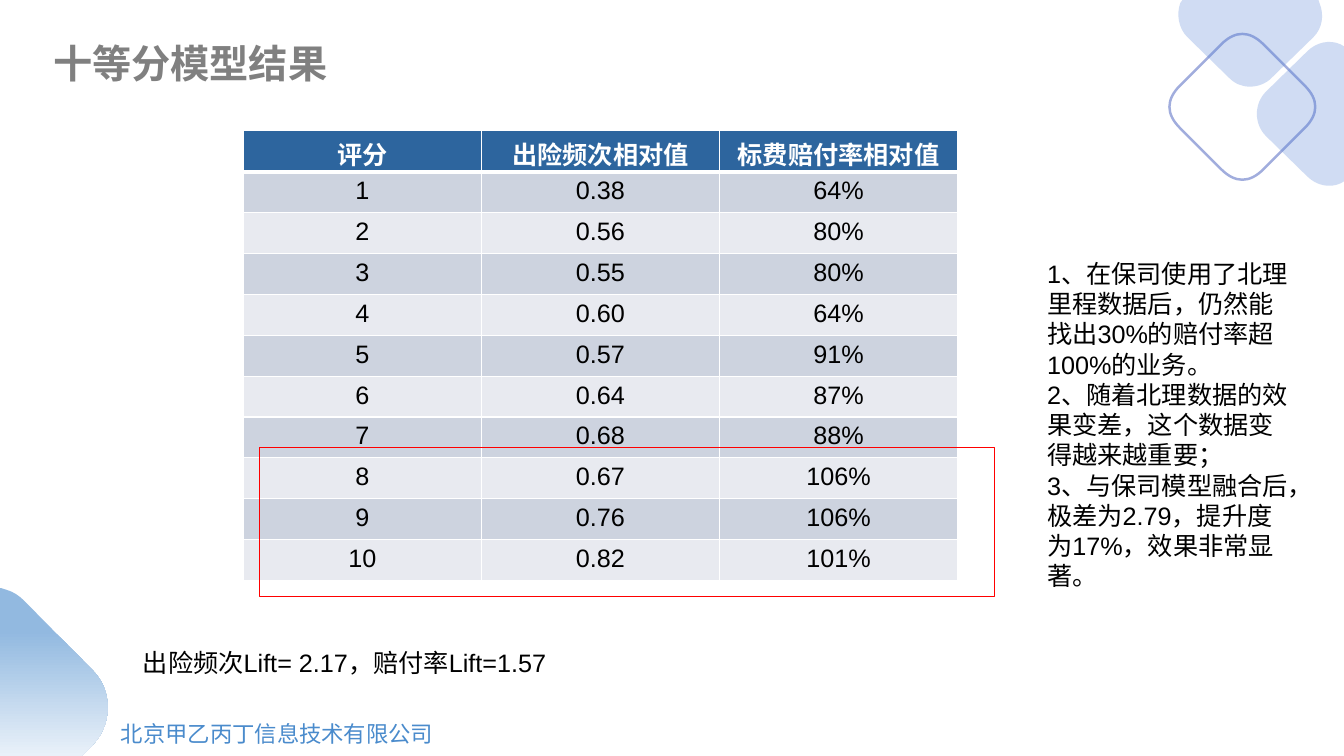
"""Build the decile model results slide."""
from lxml import etree
from pptx import Presentation
from pptx.dml.color import RGBColor
from pptx.enum.shapes import MSO_SHAPE
from pptx.enum.text import MSO_ANCHOR, PP_ALIGN
from pptx.oxml.ns import qn
from pptx.util import Pt

RECT = MSO_SHAPE.RECTANGLE
LEFT, CENTER, RIGHT = PP_ALIGN.LEFT, PP_ALIGN.CENTER, PP_ALIGN.RIGHT
TOP, MIDDLE = MSO_ANCHOR.TOP, MSO_ANCHOR.MIDDLE

BODY = ("Arial", 18, "000000", False)
HEAD = ("Arial", 18, "FFFFFF", True)
TITLE = ("Times New Roman", 28, "808080", True)
FOOTER = ("Arial", 16, "4A8BCC", False)

HEADERS = ["评分", "出险频次相对值", "标费赔付率相对值"]
FREQUENCIES = ["0.38", "0.56", "0.55", "0.60", "0.57", "0.64", "0.68", "0.67", "0.76", "0.82"]
LOSS_RATIOS = ["64%", "80%", "80%", "64%", "91%", "87%", "88%", "106%", "106%", "101%"]
NOTES = [
    "1、在保司使用了北理里程数据后，仍然能找出30%的赔付率超100%的业务。",
    "2、随着北理数据的效果变差，这个数据变得越来越重要；",
    "3、与保司模型融合后，极差为2.79，提升度为17%，效果非常显著。",
]
TEXTS = [
    ((21.6, 513.4, 295.2, 21.6), ["北京甲乙丙丁信息技术有限公司"], FOOTER, RIGHT, MIDDLE),
    ((31, 24.5, 412.6, 41), ["十等分模型结果"], TITLE, LEFT, TOP),
    ((95, 458.6, 728, 28.8), ["出险频次Lift= 2.17，赔付率Lift=1.57"], BODY, LEFT, TOP),
    ((740.9, 181, 191.5, 269.3), NOTES, BODY, LEFT, TOP),
]
TABLE_BOX = (173.8, 93.2, 510.3, 321.1)
HIGHLIGHT_BOX = (185.5, 319.6, 525, 106.6)

RING_CENTER, RING_REACH = (887.4, 76.3), 52.2
RING_CORNER = [(44.6, -15.1), (54.6, -5.1, 54.6, 5.1, 44.6, 15.1)]
RIGHT_BOX = (897.8, 29.5, 62.2, 103.8)
RIGHT_PATH = [
    (897.8, 81.4), (897.8, 87.1, 900, 92.9, 904.3, 97.2), (933.8, 126),
    (940.3, 132.5, 949.7, 134.6, 957.6, 131), (960, 129.6), (960, 33.1), (957.6, 31.7),
    (949.7, 28.1, 940.3, 30.2, 933.8, 36.7), (904.3, 65.5), (900, 69.8, 897.8, 75.6, 897.8, 81.4),
]
TOP_BOX = (841.7, 0, 102.2, 61.9)
TOP_PATH = [
    (892.8, 61.9), (898.6, 61.9, 904.3, 59.8, 908.6, 55.4), (938.2, 26.6),
    (944.6, 20.2, 946.1, 10.8, 942.5, 2.2), (941.8, 0), (844.6, 0), (843.1, 2.2),
    (840.2, 10.1, 841.7, 20.2, 848.2, 26.6), (877.7, 55.4), (882, 59.8, 887, 61.9, 892.8, 61.9),
]
CORNER_BOX = (0, 419.8, 77, 120.2)
CORNER_PATH = [
    (58.3, 540), (0, 540), (0, 419.8), (4.3, 421.2), (9.4, 422.6, 13.7, 425.5, 17.3, 429.1),
    (66.2, 478.8), (80.6, 493.2, 80.6, 517, 66.2, 532.1),
]


def rgb(value):
    return RGBColor.from_string(value)


def write(tf, lines, style, align):
    name, size, color, bold = style
    for i, line in enumerate(lines):
        p = tf.add_paragraph() if i else tf.paragraphs[0]
        p.alignment = align
        r = p.add_run()
        r.text = line
        r.font.name, r.font.size, r.font.bold = name, Pt(size), bold
        r.font.color.rgb = rgb(color)


def add_curve(s, box, segments):
    x, y, w, h = (v * 100 for v in box)
    builder = s.shapes.build_freeform(x, y, scale=Pt(1) / 100)
    builder.add_line_segments([(x + w, y), (x + w, y + h), (x, y + h)], close=True)
    sp = builder.convert_to_shape()
    sp.shadow.inherit = False
    outline_path = next(sp._element.iter(qn("a:path")))
    for child in list(outline_path):
        outline_path.remove(child)
    for i, segment in enumerate(segments):
        tag = "a:cubicBezTo" if len(segment) == 6 else "a:lnTo" if i else "a:moveTo"
        step = etree.SubElement(outline_path, qn(tag))
        for px, py in zip(segment[::2], segment[1::2]):
            etree.SubElement(step, qn("a:pt"), x=str(round(px * 100 - x)), y=str(round(py * 100 - y)))
    etree.SubElement(outline_path, qn("a:close"))
    return sp


def ring_path():
    cx, cy = RING_CENTER
    segments = []
    for cos, sin in ((1, 0), (0, 1), (-1, 0), (0, -1)):
        for segment in RING_CORNER:
            turned = []
            for x, y in zip(segment[::2], segment[1::2]):
                turned += [cx + x * cos - y * sin, cy + x * sin + y * cos]
            segments.append(turned)
    return segments


def outline(sp, color, width):
    sp.fill.background()
    sp.line.color.rgb = rgb(color)
    sp.line.width = Pt(width)


def add_decor(s):
    cx, cy = RING_CENTER
    ring_box = (cx - RING_REACH, cy - RING_REACH, 2 * RING_REACH, 2 * RING_REACH)
    outline(add_curve(s, ring_box, ring_path()), "A1ADDD", 1.75)
    for box, segments in ((RIGHT_BOX, RIGHT_PATH), (TOP_BOX, TOP_PATH)):
        sp = add_curve(s, box, segments)
        sp.fill.solid()
        sp.fill.fore_color.rgb = rgb("5784D6")
        color = sp._element.spPr.find(qn("a:solidFill"))[0]
        etree.SubElement(color, qn("a:alpha"), val="28000")
        sp.line.fill.background()
    sp = add_curve(s, CORNER_BOX, CORNER_PATH)
    sp.fill.gradient()
    sp.fill.gradient_angle = 270
    for stop, (position, color) in zip(sp.fill.gradient_stops, [(0.26, "92B9E0"), (1, "E9F1F9")]):
        stop.position = position
        stop.color.rgb = rgb(color)
    sp.line.fill.background()


def style_cell(cell, fill, bottom):
    tcPr = cell._tc.get_or_add_tcPr()
    for side, width in (("L", 1), ("R", 1), ("T", 1), ("B", bottom)):
        ln = etree.SubElement(tcPr, qn(f"a:ln{side}"), w=str(Pt(width)))
        solid = etree.SubElement(ln, qn("a:solidFill"))
        etree.SubElement(solid, qn("a:srgbClr"), val="FFFFFF")
    cell.fill.solid()
    cell.fill.fore_color.rgb = rgb(fill)


def add_scores(s):
    scores = [str(i + 1) for i in range(len(FREQUENCIES))]
    rows = [HEADERS, *zip(scores, FREQUENCIES, LOSS_RATIOS)]
    table = s.shapes.add_table(len(rows), len(HEADERS), *map(Pt, TABLE_BOX)).table
    for column in table.columns:
        column.width = Pt(TABLE_BOX[2] / len(HEADERS))
    for i, row in enumerate(rows):
        table.rows[i].height = Pt(TABLE_BOX[3] / len(rows))
        fill = ("E8EAF0", "CDD3DF")[i % 2] if i else "2D659E"
        for j, value in enumerate(row):
            cell = table.cell(i, j)
            style_cell(cell, fill, 1 if i else 3)
            cell.margin_bottom = Pt(3.6 if i else 0)
            write(cell.text_frame, [value], BODY if i else HEAD, CENTER)


def main():
    prs = Presentation()
    prs.slide_width, prs.slide_height = Pt(960), Pt(540)
    s = prs.slides.add_slide(prs.slide_layouts[6])
    add_decor(s)
    add_scores(s)
    highlight = s.shapes.add_shape(RECT, *map(Pt, HIGHLIGHT_BOX))
    highlight.shadow.inherit = False
    outline(highlight, "FF0000", 0.75)
    for box, lines, style, align, anchor in TEXTS:
        tf = s.shapes.add_textbox(*map(Pt, box)).text_frame
        tf.word_wrap = True
        tf.vertical_anchor = anchor
        write(tf, lines, style, align)
    prs.save("out.pptx")


if __name__ == "__main__":
    main()
